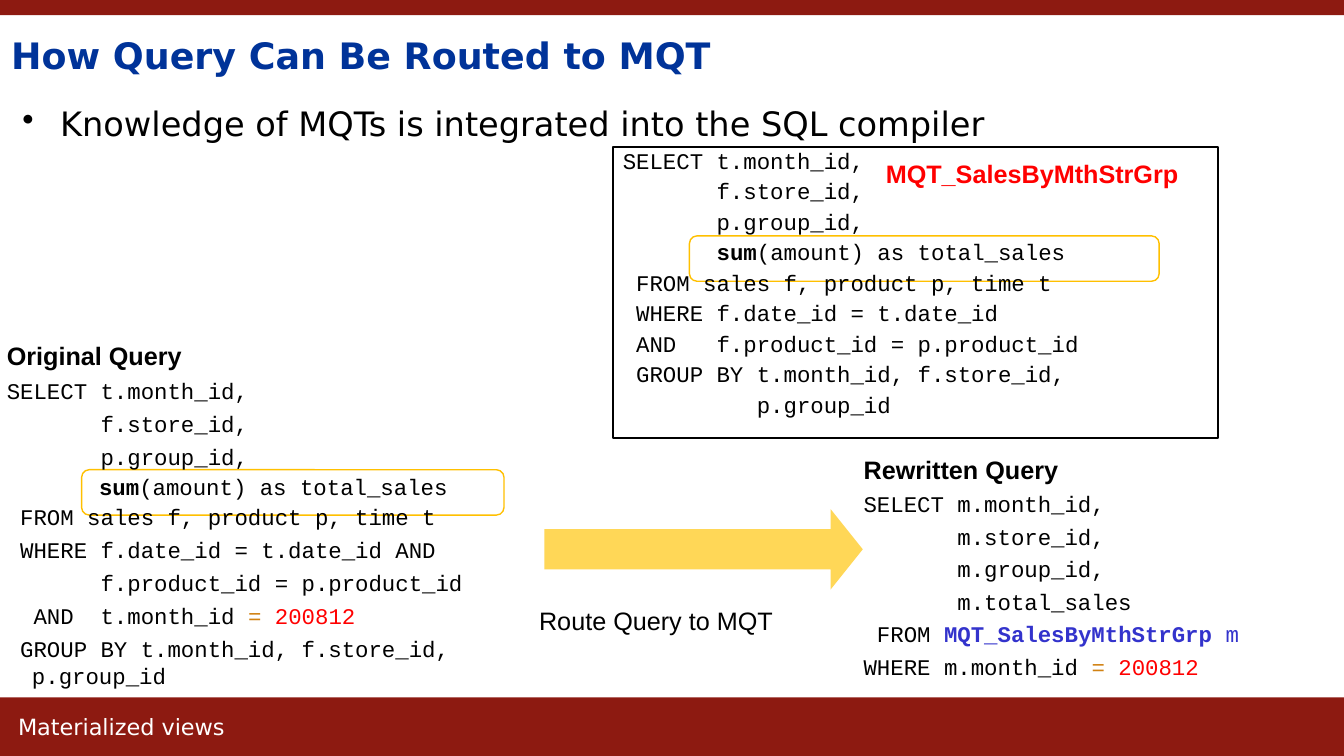
from dataclasses import dataclass

from lxml.etree import SubElement
from pptx import Presentation
from pptx.dml.color import RGBColor
from pptx.enum.shapes import MSO_SHAPE
from pptx.enum.text import MSO_ANCHOR, PP_ALIGN
from pptx.oxml.ns import qn
from pptx.util import Pt


@dataclass(frozen=True)
class Theme:
    """Colours, fonts and type sizes of the slide."""

    band: str = "8D1A11"
    title: str = "003399"
    text: str = "000000"
    white: str = "FFFFFF"
    outline: str = "FFC000"
    arrow: str = "FFD757"
    red: str = "FF0000"
    operator: str = "D18213"
    table_name: str = "3333CC"
    heading_font: str = "DejaVu Sans"
    label_font: str = "Arial"
    code_font: str = "Courier New"
    title_size: int = 26
    body_size: int = 24
    label_size: int = 18
    code_size: int = 16


THEME = Theme()
HANGING = 18
MQT_SPACING = {"line_spacing": 0.8, "space_before": Pt(4), "space_after": Pt(2.4)}
ORIGINAL_SPACING = {"space_before": Pt(2), "space_after": Pt(2.4)}
REWRITTEN_SPACING = {"space_before": Pt(2), "space_after": Pt(2)}
TIGHT_SPACING = {"space_before": Pt(0), "space_after": Pt(0)}


def set_attributes(target, values):
    """Set each named attribute of the target."""
    for name, value in values.items():
        setattr(target, name, value)


def run_format(text, font, size, color=THEME.text, bold=False):
    """Pair a text with its colour and font values."""
    return text, color, {"name": font, "size": Pt(size), "bold": bold}


def code(text, color=THEME.text, bold=False):
    """Describe a run of query code."""
    return run_format(text, THEME.code_font, THEME.code_size, color, bold)


def label(text, color=THEME.text, bold=True):
    """Describe a run of a label."""
    return run_format(text, THEME.label_font, THEME.label_size, color, bold)


def heading(text, size, color=THEME.text, bold=False):
    """Describe a run in the heading font."""
    return run_format(text, THEME.heading_font, size, color, bold)


def add_shape(slide, kind, box, fill=None, line=None, line_width=1):
    """Add a preset shape with plain fill and line."""
    shape = slide.shapes.add_shape(kind, *map(Pt, box))
    shape.shadow.inherit = False
    if fill:
        shape.fill.solid()
        shape.fill.fore_color.rgb = RGBColor.from_string(fill)
    else:
        shape.fill.background()
    if line:
        shape.line.color.rgb = RGBColor.from_string(line)
        shape.line.width = Pt(line_width)
    else:
        shape.line.fill.background()
    return shape


def write_paragraph(paragraph, runs, spacing, hanging=0, bullet=None):
    """Fill one paragraph with formatted runs."""
    properties = paragraph._p.get_or_add_pPr()
    if hanging:
        properties.set("marL", str(Pt(hanging)))
        properties.set("indent", str(-Pt(hanging)))
    if bullet:
        SubElement(properties, qn("a:buChar")).set("char", bullet)
    set_attributes(paragraph, {"alignment": PP_ALIGN.LEFT, **spacing})
    for text, color, font in runs:
        run = paragraph.add_run()
        run.text = text
        set_attributes(run.font, font)
        run.font.color.rgb = RGBColor.from_string(color)


def write_lines(shape, lines, spacing, special=None, **options):
    """Write one paragraph for each line, with special spacing by index."""
    frame = shape.text_frame
    set_attributes(frame, {"word_wrap": True, "vertical_anchor": MSO_ANCHOR.TOP})
    for index, runs in enumerate(lines):
        paragraph = frame.add_paragraph() if index else frame.paragraphs[0]
        values = dict((special or {}).get(index, spacing))
        if index == 0:
            values.pop("space_before", None)
        write_paragraph(paragraph, runs, values, **options)
    return frame


def add_text(slide, box, lines, spacing=None, special=None, **options):
    """Add a text box and return its frame."""
    shape = slide.shapes.add_textbox(*map(Pt, box))
    return write_lines(shape, lines, spacing or {}, special, **options)


def sum_line(lead):
    """Describe the code line that totals the sales."""
    return [code(lead), code("sum", bold=True), code("(amount) as total_sales")]


def month_filter(lead):
    """Describe the code line that filters on the month."""
    return [code(lead), code("= ", THEME.operator), code("200812", THEME.red)]


def code_lines(*texts):
    """Describe plain code lines."""
    return [[code(text)] for text in texts]


def add_frame(slide):
    """Add the bands, the title, the bullet and the footer text."""
    for top, height in ((498.2, 41.8), (0, 10.8)):
        add_shape(slide, MSO_SHAPE.RECTANGLE, (0, top, 960, height), THEME.band)
    title = add_text(
        slide, (8, 13.7, 937.5, 57),
        [[heading("How Query Can Be Routed to MQT", THEME.title_size, THEME.title, True)]],
        {"line_spacing": 0.95},
    )
    set_attributes(title, {"vertical_anchor": MSO_ANCHOR.MIDDLE, "margin_left": 0, "margin_top": 0})
    body = add_text(
        slide, (16, 73.5, 930, 418),
        [[heading("Knowledge of MQTs is integrated into the SQL compiler", THEME.body_size)]],
        hanging=27, bullet="•",
    )
    set_attributes(body, {"margin_left": 0, "margin_top": 0})
    footer = add_text(
        slide, (5.8, 506.2, 162.7, 26.6),
        [[heading("Materialized views", THEME.code_size, THEME.white)]],
    )
    footer.word_wrap = False


def add_queries(slide):
    """Add the table definition and the original and rewritten queries."""
    for box in ((492.5, 168.5, 335.5, 32.4), (58.3, 335.5, 301.7, 32.4)):
        add_shape(slide, MSO_SHAPE.ROUNDED_RECTANGLE, box, line=THEME.outline)
    select = ("SELECT t.month_id,", "       f.store_id,", "       p.group_id,")
    source = " FROM sales f, product p, time t"
    definition = code_lines(*select) + [sum_line("       ")] + code_lines(
        source, " WHERE f.date_id = t.date_id", " AND   f.product_id = p.product_id",
        " GROUP BY t.month_id, f.store_id,", "          p.group_id",
    )
    panel = add_shape(slide, MSO_SHAPE.RECTANGLE, (437.8, 105.1, 432, 208),
                      line=THEME.text, line_width=1.25)
    write_lines(panel, definition, MQT_SPACING, hanging=HANGING)

    original = [[label("Original Query")]] + code_lines(*select) + [sum_line("\t     ")]
    original += code_lines(source, " WHERE f.date_id = t.date_id AND",
                           "       f.product_id = p.product_id")
    original += [month_filter("  AND  t.month_id ")]
    original += code_lines(" GROUP BY t.month_id, f.store_id, p.group_id")
    add_text(slide, (-2.2, 239.8, 380, 247.7), original, ORIGINAL_SPACING,
             {4: TIGHT_SPACING}, hanging=HANGING)

    rewritten = [[label("Rewritten Query")]] + code_lines(
        "SELECT m.month_id,", "       m.store_id,", "       m.group_id,", "       m.total_sales")
    rewritten += [
        [code(" FROM "), code("MQT_SalesByMthStrGrp ", THEME.table_name, True),
         code("m", THEME.table_name)],
        month_filter("WHERE m.month_id "),
    ]
    add_text(slide, (609.8, 321.1, 342, 162), rewritten, REWRITTEN_SPACING, hanging=HANGING)


def add_route(slide):
    """Add the arrow with its caption and the name of the table."""
    arrow = add_shape(slide, MSO_SHAPE.RIGHT_ARROW, (388.8, 363.6, 227.5, 57.6), THEME.arrow)
    arrow.adjustments[1] = 0.4
    add_text(slide, (378, 429.1, 192.2, 28.8), [[label("Route Query to MQT", bold=False)]])
    add_text(slide, (625.7, 113.8, 227.5, 25.9),
             [[label("MQT_SalesByMthStrGrp", THEME.red)]], {"line_spacing": 0.8})


def main():
    """Build the slide and save it."""
    presentation = Presentation()
    set_attributes(presentation, {"slide_width": Pt(960), "slide_height": Pt(540)})
    slide = presentation.slides.add_slide(presentation.slide_layouts[6])
    add_frame(slide)
    add_queries(slide)
    add_route(slide)
    presentation.save("out.pptx")


if __name__ == "__main__":
    main()
